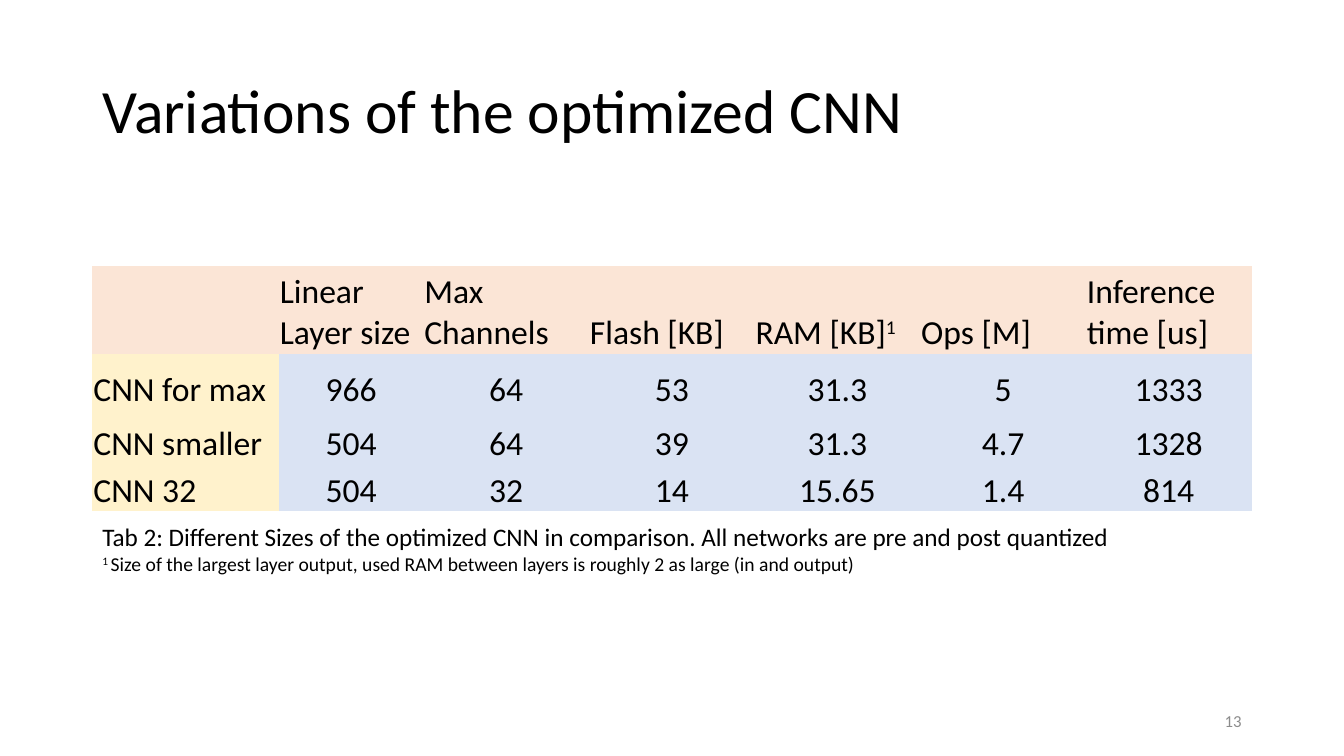
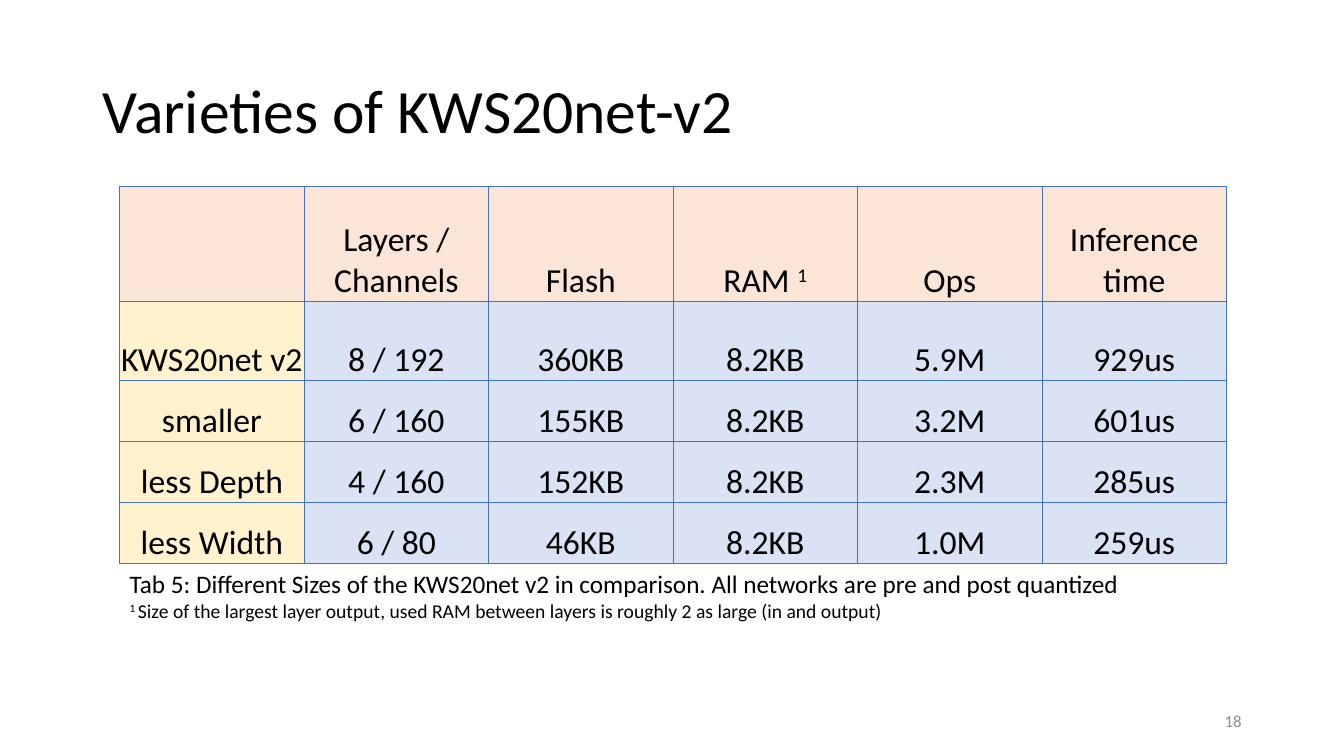
from lxml import etree
from pptx import Presentation
from pptx import util as u
from pptx.dml.color import RGBColor
from pptx.enum import text
from pptx.oxml import ns

BLACK = RGBColor(0x00, 0x00, 0x00)
GREY = RGBColor(0x8C, 0x8C, 0x8C)
PEACH = RGBColor(0xFB, 0xE5, 0xD6)
CREAM = RGBColor(0xFF, 0xF2, 0xCC)
PALE_BLUE = RGBColor(0xDA, 0xE3, 0xF3)
BORDER_BLUE = RGBColor(0x44, 0x72, 0xC4)

FONT = "Calibri"
COLS, ROWS = 160, 90  # grid of the slide, twelve cells to the inch
CELL = u.Inches(1) // 12
PLAIN_TABLE = "{2D5ABB26-0587-4C30-8999-92F81FD0307C}"
LEFT, CENTER, RIGHT = text.PP_ALIGN.LEFT, text.PP_ALIGN.CENTER, text.PP_ALIGN.RIGHT
FOOTNOTE = ("^1 ^Size of the largest layer output, used RAM between layers "
            "is roughly 2 as large (in and output)")


def grid(*cells):
    return [u.Emu(round(c * CELL)) for c in cells]


def write(p, words, size, color=BLACK, align=LEFT):
    """Fill a paragraph; words between ^ marks are superscript."""
    p.alignment = align
    for i, part in enumerate(words.split("^")):
        if not part:
            continue
        r = p.add_run()
        r.text = part
        r.font.name, r.font.size, r.font.color.rgb = FONT, u.Pt(size), color
        if i % 2:
            r._r.get_or_add_rPr().set("baseline", "30000")


def outline(cell, color, width):
    tc_pr = cell._tc.get_or_add_tcPr()
    for i, side in enumerate(("lnL", "lnR", "lnT", "lnB")):
        ln = etree.Element(ns.qn(f"a:{side}"), w=str(u.Pt(width)))
        fill = etree.SubElement(ln, ns.qn("a:solidFill"))
        etree.SubElement(fill, ns.qn("a:srgbClr"), val=str(color))
        tc_pr.insert(i, ln)


class Deck:
    def __init__(self):
        self.prs = Presentation()
        self.prs.slide_width, self.prs.slide_height = grid(COLS, ROWS)
        self.s = None

    def slide(self, title, number):
        self.s = self.prs.slides.add_slide(self.prs.slide_layouts[5])
        sp = self.s.shapes.title
        sp.left, sp.top, sp.width, sp.height = grid(11, 4.8, 138, 17.4)
        tf = sp.text_frame
        tf.vertical_anchor = text.MSO_ANCHOR.MIDDLE
        tf.auto_size = text.MSO_AUTO_SIZE.NONE
        write(tf.paragraphs[0], title, 44)
        tf.paragraphs[0].line_spacing = 0.9
        tf = self.textbox(113, 83.4, 36, 4.8)
        tf.vertical_anchor = text.MSO_ANCHOR.MIDDLE
        write(tf.paragraphs[0], str(number), 12, GREY, RIGHT)

    def textbox(self, *at):
        tf = self.s.shapes.add_textbox(*grid(*at)).text_frame
        tf.word_wrap = True
        return tf

    def caption(self, words, *at):
        tf = self.textbox(*at)
        write(tf.paragraphs[0], words, 18)
        write(tf.add_paragraph(), FOOTNOTE, 14)

    def table(self, data, left, top, widths, heights, label_align, border=None):
        sp = self.s.shapes.add_table(
            len(heights), len(widths), *grid(left, top, sum(widths), sum(heights)))
        next(sp.element.iter(ns.qn("a:tableStyleId"))).text = PLAIN_TABLE
        for column, width in zip(sp.table.columns, grid(*widths)):
            column.width = width
        for row, height in zip(sp.table.rows, grid(*heights)):
            row.height = height
        for i, values in enumerate(data):
            for j, value in enumerate(values):
                cell = sp.table.cell(i, j)
                cell.margin_left = cell.margin_right = cell.margin_top = u.Inches(0.01)
                cell.margin_bottom = 0
                cell.vertical_anchor = text.MSO_ANCHOR.BOTTOM
                cell.fill.solid()
                cell.fill.fore_color.rgb = PEACH if i == 0 else CREAM if j == 0 else PALE_BLUE
                align = CENTER if i and j else label_align
                write(cell.text_frame.paragraphs[0], value, 24, align=align)
                if border:
                    outline(cell, border, 0.5)


def main():
    deck = Deck()

    deck.slide("Variations of the optimized CNN", 13)
    deck.table([
        ("", "Linear Layer size", "Max Channels", "Flash [KB]", "RAM [KB]^1", "Ops [M]",
         "Inference time [us]"),
        ("CNN for max", "966", "64", "53", "31.3", "5", "1333"),
        ("CNN smaller", "504", "64", "39", "31.3", "4.7", "1328"),
        ("CNN 32", "504", "32", "14", "15.65", "1.4", "814"),
    ], 11, 31.7, [22.2, 17.2] + [19.72] * 5, [10.44, 6.8, 6.36, 5.6], LEFT)
    deck.caption("Tab 2: Different Sizes of the optimized CNN in comparison. "
                 "All networks are pre and post quantized", 11, 61.5, 138, 7.7)

    deck.slide("Varieties of KWS20net-v2", 18)
    deck.table([
        ("", "Layers / Channels", "Flash", "RAM ^1", "Ops", "Inference time"),
        ("KWS20net v2", "8 / 192", "360KB", "8.2KB", "5.9M", "929us"),
        ("smaller", "6 / 160", "155KB", "8.2KB", "3.2M", "601us"),
        ("less Depth", "4 / 160", "152KB", "8.2KB", "2.3M", "285us"),
        ("less Width", "6 / 80", "46KB", "8.2KB", "1.0M", "259us"),
    ], 14.25, 22.2, [21.96] * 6, [13.7, 9.36] + [7.28] * 3, CENTER, BORDER_BLUE)
    deck.caption("Tab 5: Different Sizes of the KWS20net v2 in comparison. "
                 "All networks are pre and post quantized", 14.25, 67.1, 131.76, 11.3)

    deck.prs.save("out.pptx")


if __name__ == "__main__":
    main()
